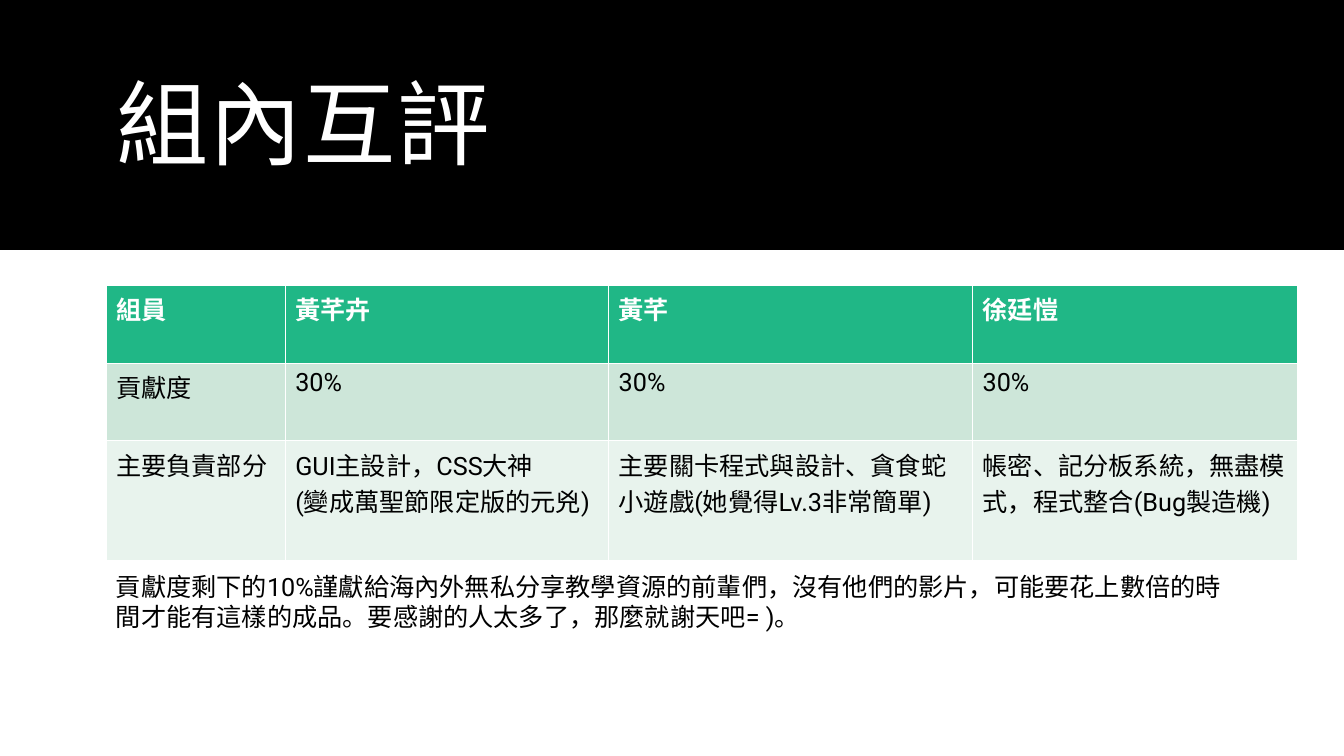
import pptx
import pptx.util
import pptx.dml.color
import pptx.enum.shapes
import pptx.enum.text
import pptx.oxml.ns

Cm = pptx.util.Cm
Pt = pptx.util.Pt
RGB = pptx.dml.color.RGBColor

BLACK = RGB(0x00, 0x00, 0x00)
WHITE = RGB(0xFF, 0xFF, 0xFF)
GREEN = RGB(0x20, 0xB7, 0x86)
MINT = RGB(0xCD, 0xE6, 0xD9)
PALE = RGB(0xE8, 0xF3, 0xED)

LEFT = Cm(2.67)
WIDTH = Cm(28.52)


def style(para, size, color, face="Roboto", bold=False):
    para.font.size = Pt(size)
    para.font.name = face
    para.font.bold = bold
    para.font.color.rgb = color


deck = pptx.Presentation()
deck.slide_width = Cm(33.87)
deck.slide_height = Cm(19.05)
slide = deck.slides.add_slide(deck.slide_layouts[5])

# Title on a black band
title = slide.shapes.title
title.left, title.top, title.width, title.height = LEFT, Cm(0.89), WIDTH, Cm(4.72)
frame = title.text_frame
frame.text = "組內互評"
frame.word_wrap = True
frame.auto_size = pptx.enum.text.MSO_AUTO_SIZE.NONE
frame.vertical_anchor = pptx.enum.text.MSO_ANCHOR.MIDDLE
head = frame.paragraphs[0]
head.alignment = pptx.enum.text.PP_ALIGN.LEFT
head.line_spacing = 0.9
style(head, 66, WHITE, "Lato")
for props in title.element.iter(pptx.oxml.ns.qn("a:defRPr")):
    props.set("spc", "120")

band = slide.shapes.add_shape(
    pptx.enum.shapes.MSO_SHAPE.RECTANGLE, 0, 0, deck.slide_width, Cm(6.3))
band.shadow.inherit = False
band.fill.solid()
band.fill.fore_color.rgb = BLACK
band.line.fill.background()
title.element.addprevious(band.element)

# Review table: fill, text colour, bold, cell texts
rows = [
    (GREEN, WHITE, True, ["組員", "黃芊卉", "黃芊", "徐廷愷"]),
    (MINT, BLACK, False, ["貢獻度", "30%", "30%", "30%"]),
    (PALE, BLACK, False, [
        "主要負責部分",
        "GUI主設計，CSS大神\n(變成萬聖節限定版的元兇)",
        "主要關卡程式與設計、貪食蛇小遊戲(她覺得Lv.3非常簡單)",
        "帳密、記分板系統，無盡模式，程式整合(Bug製造機)",
    ]),
]
widths = [4.52, 8.15, 9.17, 8.18]
table = slide.shapes.add_table(
    len(rows), len(widths), LEFT, Cm(7.19), Cm(sum(widths)), Cm(5.88)).table
for column, width in zip(table.columns, widths):
    column.width = Cm(width)
for row, (fill, color, bold, texts) in zip(table.rows, rows):
    row.height = Cm(1.96)
    for cell, text in zip(row.cells, texts):
        cell.fill.solid()
        cell.fill.fore_color.rgb = fill
        cell.text = text
        for para in cell.text_frame.paragraphs:
            style(para, 18, color, bold=bold)

# Closing thanks
thanks = slide.shapes.add_textbox(LEFT, Cm(14.27), WIDTH, Cm(1.8)).text_frame
thanks.word_wrap = True
thanks.auto_size = pptx.enum.text.MSO_AUTO_SIZE.SHAPE_TO_FIT_TEXT
thanks.text = (
    "貢獻度剩下的10%謹獻給海內外無私分享教學資源的前輩們，沒有他們的影片，"
    "可能要花上數倍的時間才能有這樣的成品。要感謝的人太多了，那麼就謝天吧= )。")
style(thanks.paragraphs[0], 18, BLACK)

deck.save("out.pptx")
